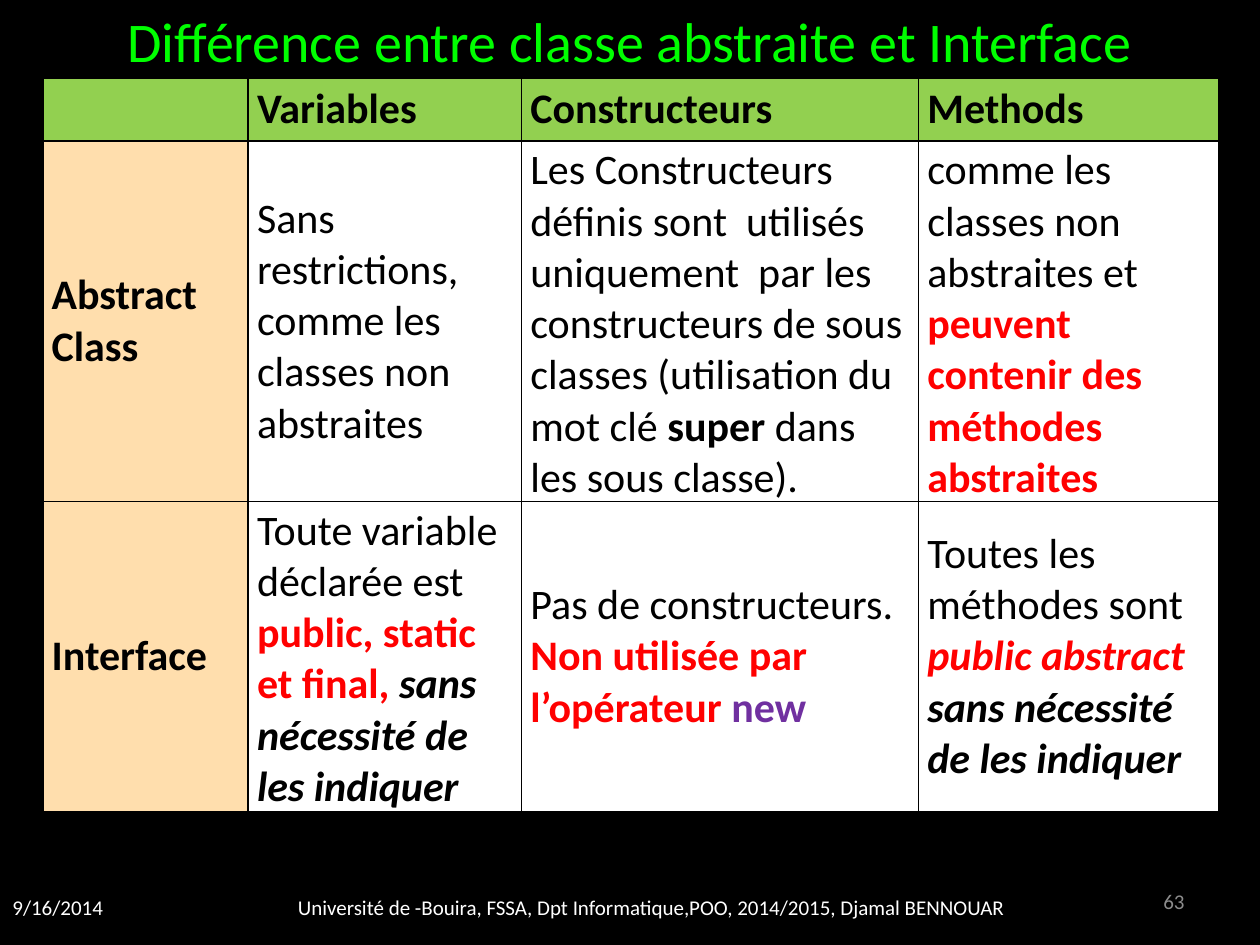
from dataclasses import dataclass

from lxml import etree
from pptx import Presentation
from pptx.dml.color import RGBColor
from pptx.enum.text import MSO_ANCHOR, PP_ALIGN
from pptx.oxml.ns import qn
from pptx.util import Inches, Pt

LEFT, CENTER, RIGHT = PP_ALIGN.LEFT, PP_ALIGN.CENTER, PP_ALIGN.RIGHT
TOP, MIDDLE = MSO_ANCHOR.TOP, MSO_ANCHOR.MIDDLE


@dataclass(frozen=True)
class Theme:
    """Colours, font and type sizes of the slide."""
    font: str = "Calibri"
    title_size: int = 32
    table_size: int = 24
    footer_size: int = 12
    border_width: int = 1
    black: str = "000000"
    white: str = "FFFFFF"
    title: str = "00FF00"
    number: str = "8C8C8C"
    header: str = "92D050"
    row_label: str = "FFDEAD"
    red: str = "FF0000"
    purple: str = "7030A0"


THEME = Theme()


@dataclass(frozen=True)
class Span:
    """A stretch of text in one format."""
    text: str
    color: str = THEME.black
    bold: bool = False
    italic: bool = False


@dataclass(frozen=True)
class Label:
    """A single-line text box; lengths in inches."""
    text: str
    left: float
    top: float
    width: float
    height: float
    size: int
    color: str
    align: PP_ALIGN
    anchor: MSO_ANCHOR = MIDDLE


@dataclass(frozen=True)
class CellContent:
    """The fill, paragraphs and vertical placement of a table cell."""
    fill: str
    paragraphs: tuple[tuple[Span, ...], ...] = ()
    anchor: MSO_ANCHOR = MIDDLE
    inset: float = 0.03


def bold_cell(text: str, fill: str, **placement) -> CellContent:
    """Return a heading cell with one bold paragraph."""
    return CellContent(fill, ((Span(text, bold=True),),), **placement)


def body_cell(*paragraphs: tuple[Span, ...]) -> CellContent:
    """Return a white cell with the given paragraphs."""
    return CellContent(THEME.white, paragraphs)


LABELS = (
    Label("9/16/2014", 0, 7, 1.25, 0.4, THEME.footer_size, THEME.white, LEFT),
    Label("Université de -Bouira, FSSA, Dpt Informatique,POO, 2014/2015, Djamal BENNOUAR",
          1.17, 7, 8, 0.4, THEME.footer_size, THEME.white, CENTER),
    Label("63", 7.17, 6.95, 2.33, 0.4, THEME.footer_size, THEME.number, RIGHT),
    Label("Différence entre classe abstraite et Interface",
          0, 0, 10, 0.64, THEME.title_size, THEME.title, CENTER, TOP),
)

COLUMN_WIDTHS = (1.63, 2.17, 3.15, 2.38)
ROW_HEIGHTS = (0.5, 2.86, 2.46)
WITHOUT_NEED = Span("sans nécessité de les indiquer", bold=True, italic=True)

ROWS = (
    (
        CellContent(THEME.header),
        bold_cell("Variables", THEME.header),
        bold_cell("Constructeurs", THEME.header),
        bold_cell("Methods", THEME.header, anchor=TOP, inset=0.04),
    ),
    (
        bold_cell("Abstract Class", THEME.row_label),
        body_cell((Span("Sans restrictions, comme les classes non abstraites"),)),
        body_cell((
            Span("Les Constructeurs définis sont  utilisés uniquement  par les "
                 "constructeurs de sous classes (utilisation du mot clé "),
            Span("super ", bold=True),
            Span("dans les sous classe)."),
        )),
        body_cell((
            Span("comme les classes non abstraites et "),
            Span("peuvent contenir des méthodes abstraites", THEME.red, True),
        )),
    ),
    (
        bold_cell("Interface", THEME.row_label),
        body_cell((
            Span("Toute variable déclarée est "),
            Span("public, static et final, ", THEME.red, True),
            WITHOUT_NEED,
        )),
        body_cell(
            (Span("Pas de constructeurs."),),
            (Span("Non utilisée par l’opérateur ", THEME.red, True),
             Span("new", THEME.purple, True)),
        ),
        body_cell((
            Span("Toutes les méthodes sont "),
            Span("public abstract ", THEME.red, True, True),
            WITHOUT_NEED,
        )),
    ),
)


def format_run(run, size: int, color: str, bold: bool = False, italic: bool = False) -> None:
    """Apply the theme font and the given format to a run."""
    run.font.name = THEME.font
    run.font.size = Pt(size)
    run.font.bold = bold
    run.font.italic = italic
    run.font.color.rgb = RGBColor.from_string(color)


def add_label(slide, label: Label) -> None:
    """Add a text box for a label."""
    box = slide.shapes.add_textbox(Inches(label.left), Inches(label.top),
                                   Inches(label.width), Inches(label.height))
    text_frame = box.text_frame
    text_frame.word_wrap = True
    text_frame.vertical_anchor = label.anchor
    text_frame.text = label.text
    paragraph = text_frame.paragraphs[0]
    paragraph.alignment = label.align
    format_run(paragraph.runs[0], label.size, label.color)


def add_borders(cell) -> None:
    """Draw a solid border on all four sides of a cell."""
    properties = cell._tc.get_or_add_tcPr()
    for side in ("a:lnL", "a:lnR", "a:lnT", "a:lnB"):
        line = etree.SubElement(properties, qn(side), w=str(Pt(THEME.border_width)))
        fill = etree.SubElement(line, qn("a:solidFill"))
        etree.SubElement(fill, qn("a:srgbClr"), val=THEME.black)


def fill_cell(cell, content: CellContent) -> None:
    """Write the text, borders and fill of a cell."""
    cell.margin_left = cell.margin_right = Inches(0.07)
    cell.margin_top = cell.margin_bottom = Inches(content.inset)
    cell.vertical_anchor = content.anchor
    add_borders(cell)
    cell.fill.solid()
    cell.fill.fore_color.rgb = RGBColor.from_string(content.fill)
    text_frame = cell.text_frame
    for index, spans in enumerate(content.paragraphs):
        paragraph = text_frame.add_paragraph() if index else text_frame.paragraphs[0]
        for span in spans:
            run = paragraph.add_run()
            run.text = span.text
            format_run(run, THEME.table_size, span.color, span.bold, span.italic)


def add_comparison_table(slide) -> None:
    """Add the table comparing abstract classes and interfaces."""
    frame = slide.shapes.add_table(len(ROWS), len(COLUMN_WIDTHS), Inches(0.34), Inches(0.62),
                                   Inches(sum(COLUMN_WIDTHS)), Inches(sum(ROW_HEIGHTS)))
    table = frame.table
    for column, width in zip(table.columns, COLUMN_WIDTHS):
        column.width = Inches(width)
    for row, height, contents in zip(table.rows, ROW_HEIGHTS, ROWS):
        row.height = Inches(height)
        for cell, content in zip(row.cells, contents):
            fill_cell(cell, content)


presentation = Presentation()
presentation.slide_width, presentation.slide_height = Inches(10), Inches(7.5)
slide = presentation.slides.add_slide(presentation.slide_layouts[6])
slide.background.fill.solid()
slide.background.fill.fore_color.rgb = RGBColor.from_string(THEME.black)
for label in LABELS:
    add_label(slide, label)
add_comparison_table(slide)
presentation.save("out.pptx")
